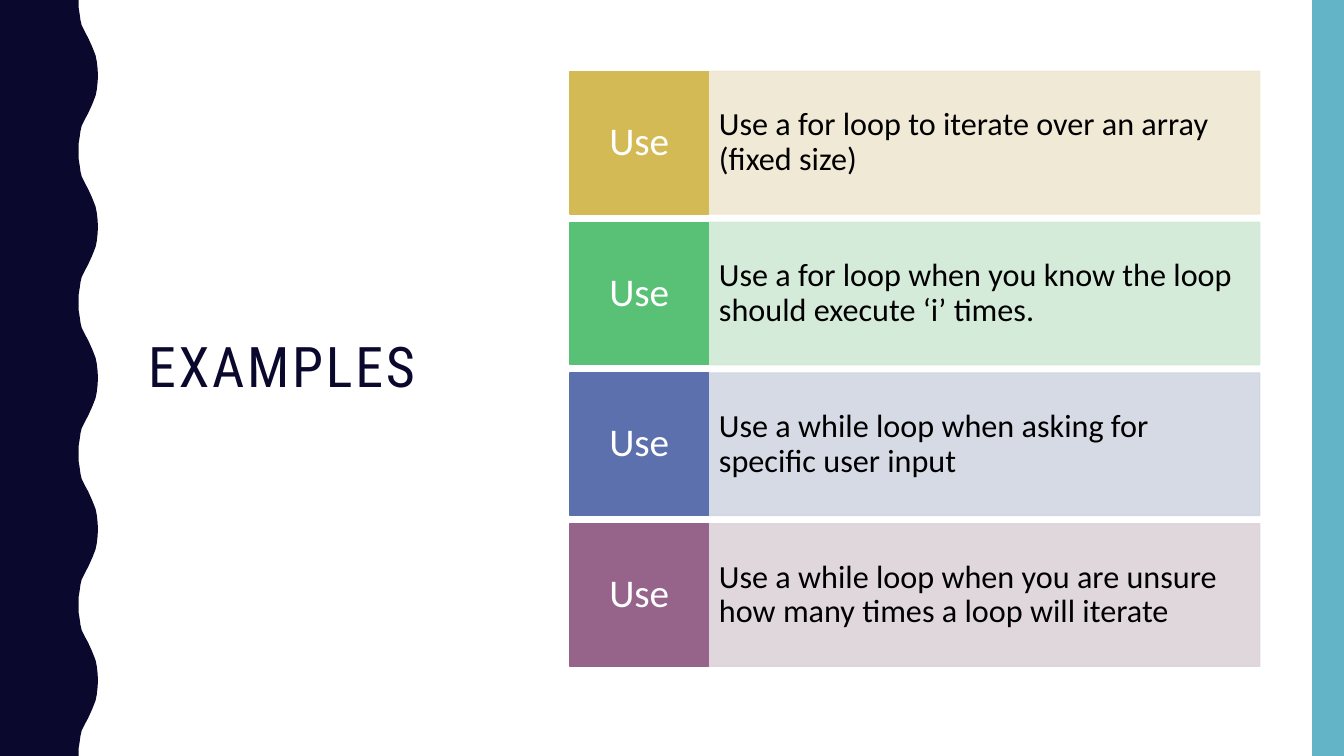
from pptx import Presentation
from pptx.dml.color import RGBColor
from pptx.enum.shapes import MSO_SHAPE as Preset
from pptx.enum.text import MSO_ANCHOR as Anchor, MSO_AUTO_SIZE as AutoSize, PP_ALIGN as Align
from pptx.oxml import parse_xml
from pptx.oxml.ns import nsdecls, qn
from pptx.util import Cm, Pt

NAVY, TEAL, WHITE, BLACK = "0B082E", "62B4C6", "FFFFFF", "000000"
WIDTH, HEIGHT = 33.87, 19.05
WAVE_PERIOD, WAVE_COUNT = 3.81, 5
HALF_WAVE = [(1.98, 0), (1.98, 0.18), (2.01, 0.36), (2.03, 0.51), (2.06, 0.64),
             (2.11, 0.74), (2.16, 0.84), (2.22, 0.95), (2.27, 1.06), (2.32, 1.17),
             (2.36, 1.27), (2.41, 1.4), (2.44, 1.55), (2.46, 1.73), (2.47, 1.9)]
ROW_TOP, ROW_HEIGHT, ROW_PITCH = 1.8, 3.59, 3.8
LABEL_LEFT, LABEL_WIDTH, TIP_WIDTH = 14.37, 3.48, 13.9
TIPS = [
    ("D3BA55", "EFE7D1", "Use a for loop to iterate over an array (fixed size)"),
    ("58C175", "D1E9D7", "Use a for loop when you know the loop should execute ‘i’ times."),
    ("5C70AD", "D2D6E3", "Use a while loop when asking for specific user input"),
    ("96648A", "DDD3DA", "Use a while loop when you are unsure how many times a loop will iterate"),
]


def paint(color_format, color):
    """Set a colour format from a hex string."""
    color_format.rgb = RGBColor.from_string(color)


def style_shape(shape, color, outlined=False, opacity=100):
    """Give a shape a flat fill, with an optional outline of the same colour."""
    shape.shadow.inherit = False
    shape.fill.solid()
    paint(shape.fill.fore_color, color)
    if outlined:
        shape.line.width = Pt(1)
        paint(shape.line.color, color)
    else:
        shape.line.fill.background()
    if opacity < 100:
        for color_element in shape.element.spPr.iter(qn("a:srgbClr")):
            color_element.append(parse_xml(f'<a:alpha {nsdecls("a")} val="{opacity * 1000}"/>'))


def write_text(shape, text, size, color, font="Calibri", align=Align.LEFT,
               margins=(0.25, 0.13), spacing=0):
    """Write one middle-anchored paragraph into a shape."""
    frame = shape.text_frame
    frame.word_wrap = True
    frame.auto_size = AutoSize.NONE
    frame.vertical_anchor = Anchor.MIDDLE
    frame.margin_left = frame.margin_right = Cm(margins[0])
    frame.margin_top = frame.margin_bottom = Cm(margins[1])
    paragraph = frame.paragraphs[0]
    paragraph.alignment = align
    paragraph.line_spacing = 0.9
    run = paragraph.add_run()
    run.text = text
    run.font.name = font
    run.font.size = Pt(size)
    paint(run.font.color, color)
    if spacing:
        run.font._element.set("spc", str(spacing * 100))


def add_box(slide, left, top, width, height, color, **style):
    """Add a filled rectangle measured in centimetres."""
    shape = slide.shapes.add_shape(Preset.RECTANGLE, Cm(left), Cm(top), Cm(width), Cm(height))
    style_shape(shape, color, **style)
    return shape


def add_wavy_edge(slide):
    """Add the navy band whose right side repeats one wave down the slide."""
    falling = [(x, WAVE_PERIOD - y) for x, y in reversed(HALF_WAVE)]
    points = [(Cm(x), Cm(y + wave * WAVE_PERIOD))
              for wave in range(WAVE_COUNT) for x, y in HALF_WAVE + falling]
    builder = slide.shapes.build_freeform(0, 0, scale=1.0)
    builder.add_line_segments(points + [(0, Cm(HEIGHT))], close=True)
    style_shape(builder.convert_to_shape(), NAVY)


def add_title(slide, text):
    """Place and format the title placeholder."""
    title = slide.shapes.title
    title.left, title.top, title.width, title.height = Cm(3.48), Cm(1.78), Cm(9.4), Cm(15.04)
    write_text(title, text, 40, NAVY, font="Roboto Condensed", spacing=2)


def add_tip(slide, top, strong, pale, text):
    """Add one row: a pale box with the advice and a strong label box."""
    tip = add_box(slide, LABEL_LEFT + LABEL_WIDTH, top, TIP_WIDTH, ROW_HEIGHT, pale,
                  outlined=True, opacity=90)
    write_text(tip, text, 23, BLACK, margins=(0.27, 0.91))
    label = add_box(slide, LABEL_LEFT, top, LABEL_WIDTH, ROW_HEIGHT, strong, outlined=True)
    write_text(label, "Use", 28, WHITE, align=Align.CENTER, margins=(0.18, 0.36))


def main():
    """Build the slide and save it."""
    presentation = Presentation()
    presentation.slide_width, presentation.slide_height = Cm(WIDTH), Cm(HEIGHT)
    slide = presentation.slides.add_slide(presentation.slide_layouts.get_by_name("Title Only"))
    add_wavy_edge(slide)
    add_box(slide, WIDTH - 0.8, 0, 0.8, HEIGHT, TEAL)
    add_title(slide, "EXAMPLES")
    for row, (strong, pale, text) in enumerate(TIPS):
        add_tip(slide, ROW_TOP + row * ROW_PITCH, strong, pale, text)
    presentation.save("out.pptx")


if __name__ == "__main__":
    main()
